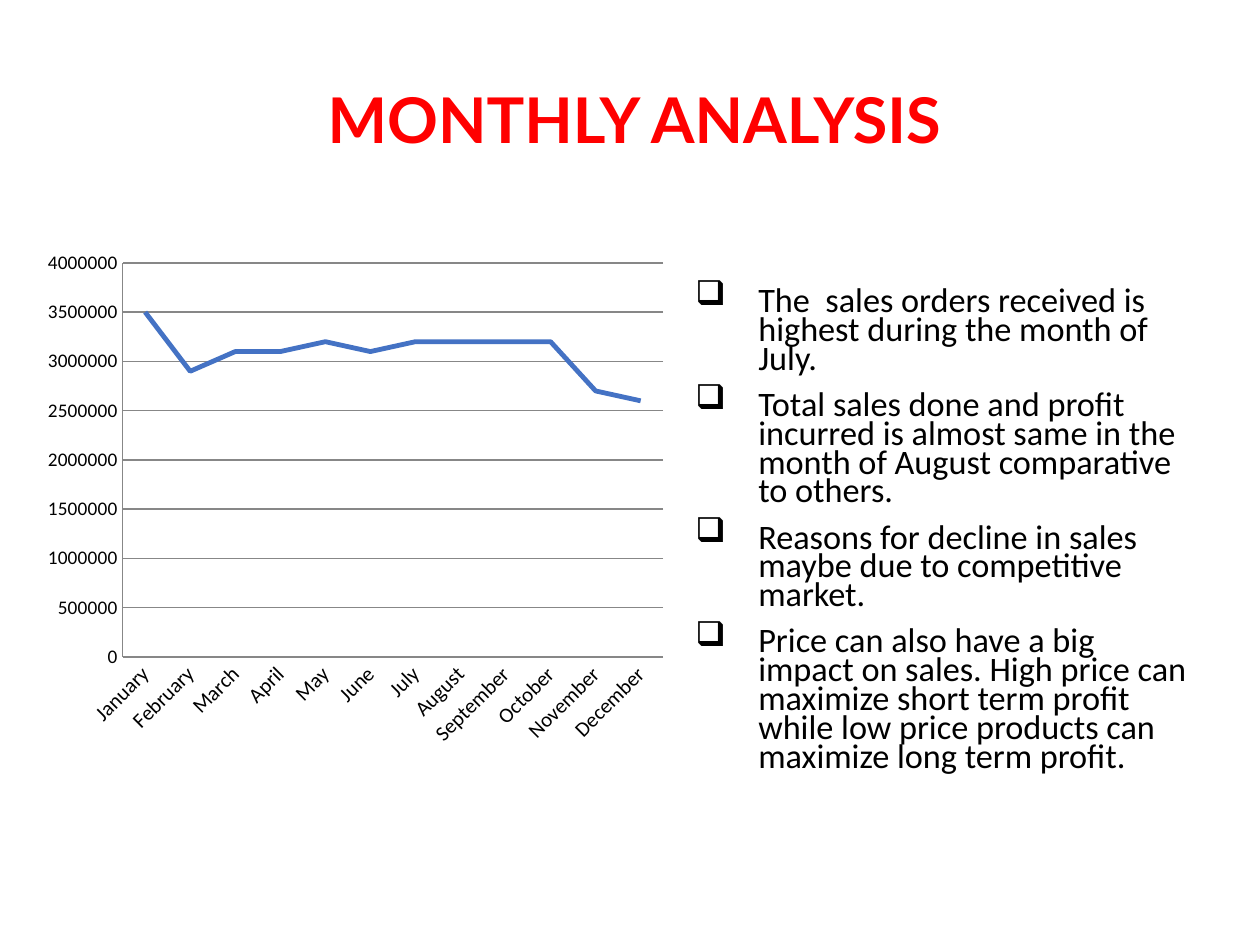
from dataclasses import dataclass

from lxml import etree
from pptx import Presentation
from pptx import util as u
from pptx.chart.data import CategoryChartData
from pptx.dml.color import RGBColor
from pptx.enum import chart as ch, text
from pptx.oxml import parse_xml
from pptx.oxml.ns import nsdecls, qn


@dataclass(frozen=True)
class Theme:
    title_font: str = "Lato"
    body_font: str = "Calibri"
    title_color: str = "FF0000"
    text_color: str = "000000"
    line_color: str = "4472C4"
    grid_color: str = "878787"
    title_size: float = 36
    body_size: float = 19.6
    category_size: float = 12
    value_size: float = 11


class Deck:
    """Holds the theme and the current slide; boxes are shares of the slide."""

    def __init__(self, theme, width=10, height=7.5):
        self.theme = theme
        self.prs = Presentation()
        self.prs.slide_width = u.Inches(width)
        self.prs.slide_height = u.Inches(height)
        self.s = self.prs.slides.add_slide(self.prs.slide_layouts[5])

    def box(self, x, y, w, h):
        width, height = self.prs.slide_width, self.prs.slide_height
        return [u.Emu(round(v)) for v in
                (x * width, y * height, w * width, h * height)]

    def style(self, font, name, size, color, bold=False):
        font.name, font.size, font.bold = name, u.Pt(size), bold
        font.color.rgb = RGBColor.from_string(color)

    def title(self, words, *share):
        t, sp = self.theme, self.s.shapes.title
        sp.left, sp.top, sp.width, sp.height = self.box(*share)
        tf = sp.text_frame
        tf.text = words
        tf.auto_size = text.MSO_AUTO_SIZE.NONE
        tf.vertical_anchor = text.MSO_ANCHOR.BOTTOM
        p = tf.paragraphs[0]
        p.alignment = text.PP_ALIGN.LEFT
        p.line_spacing = 0.9
        self.style(p.runs[0].font, t.title_font, t.title_size, t.title_color, True)

    def bullets(self, items, *share):
        t = self.theme
        tf = self.s.shapes.add_textbox(*self.box(*share)).text_frame
        tf.word_wrap = True
        for i, item in enumerate(items):
            p = tf.paragraphs[0] if i == 0 else tf.add_paragraph()
            p.text = item
            p.line_spacing = 0.7
            p.space_before = u.Pt(10 if i else 0)
            pPr = p._p.get_or_add_pPr()
            pPr.set("marL", str(u.Inches(0.5)))
            pPr.set("indent", str(-u.Inches(0.5)))
            etree.SubElement(pPr, qn("a:buChar")).set("char", "❑")
            self.style(p.runs[0].font, t.body_font, t.body_size, t.text_color)

    def line_chart(self, categories, name, values, plot, *share):
        t = self.theme
        data = CategoryChartData(number_format="General")
        data.categories = categories
        data.add_series(name, values)
        chart = self.s.shapes.add_chart(
            ch.XL_CHART_TYPE.LINE_STACKED, *self.box(*share), data).chart
        chart.has_legend = chart.has_title = False
        self.style(chart.font, t.body_font, 18, t.text_color)

        chart.plots[0].vary_by_categories = False
        series = chart.plots[0].series[0]
        series.smooth = False
        series.marker.style = ch.XL_MARKER_STYLE.NONE
        series.format.line.width = u.Pt(2.75)
        series.format.line.color.rgb = RGBColor.from_string(t.line_color)

        cat, val = chart.category_axis, chart.value_axis
        val.minimum_scale, val.maximum_scale, val.major_unit = 0, 4000000, 500000
        val.has_major_gridlines = True
        for axis, size in ((cat, t.category_size), (val, t.value_size)):
            axis.major_tick_mark = axis.minor_tick_mark = ch.XL_TICK_MARK.NONE
            self.style(axis.tick_labels.font, t.body_font, size, t.text_color)
        for part in (cat, val, val.major_gridlines):
            part.format.line.width = u.Pt(0.75)
            part.format.line.color.rgb = RGBColor.from_string(t.grid_color)
        cat._element.find(qn("c:txPr")).find(qn("a:bodyPr")).set("rot", "-2700000")
        self.place_plot(chart, plot)

    def place_plot(self, chart, plot):
        """Fix the inner plot area, given as shares of the chart."""
        modes = "".join(f'<c:{k}Mode val="edge"/>' for k in "xy")
        sizes = "".join(f'<c:{k} val="{v}"/>' for k, v in zip("xywh", plot))
        layout = parse_xml(
            f'<c:layout {nsdecls("c")}><c:manualLayout>'
            f'<c:layoutTarget val="inner"/>{modes}{sizes}'
            '</c:manualLayout></c:layout>')
        area = chart._chartSpace.find(qn("c:chart")).find(qn("c:plotArea"))
        old = area.find(qn("c:layout"))
        if old is not None:
            area.remove(old)
        area.insert(0, layout)


MONTHS = ["January", "February", "March", "April", "May", "June", "July",
          "August", "September", "October", "November", "December"]
SALES = [3500000, 2900000, 3100000, 3100000, 3200000, 3100000,
         3200000, 3200000, 3200000, 3200000, 2700000, 2600000]
FINDINGS = [
    "The  sales orders received is highest during the month of July.",
    "Total sales done and profit incurred is almost same in the month of "
    "August comparative to others.",
    "Reasons for decline in sales maybe due to competitive market.",
    "Price can also have a big impact on sales. High price can maximize short "
    "term profit while low price products can maximize long term profit.",
]


def main():
    deck = Deck(Theme())
    deck.title("MONTHLY ANALYSIS", 0.25, 0, 0.6, 0.173)
    deck.bullets(FINDINGS, 0.542, 0.3, 0.418, 0.556)
    deck.line_chart(MONTHS, "Series 1", SALES, (0.14, 0.04, 0.83, 0.75),
                    0.025, 0.256, 0.517, 0.556)
    deck.prs.save("out.pptx")


if __name__ == "__main__":
    main()
